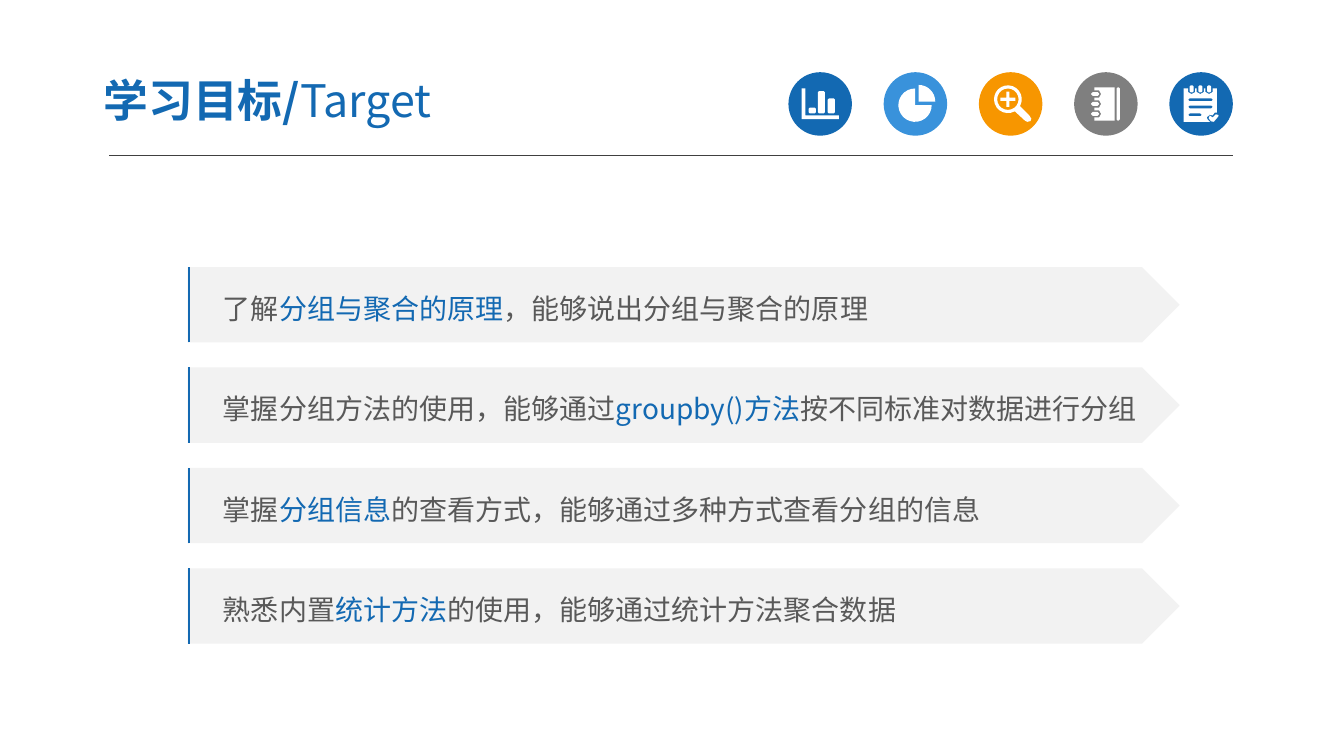
from dataclasses import dataclass
from math import cos, radians, sin

from lxml.etree import SubElement
from pptx import Presentation
from pptx.dml.color import RGBColor
from pptx.enum.shapes import MSO_CONNECTOR, MSO_SHAPE
from pptx.enum.text import MSO_ANCHOR, PP_ALIGN
from pptx.oxml.ns import qn
from pptx.util import Cm, Pt


@dataclass(frozen=True)
class Theme:
    font: str = "Noto Sans CJK SC"
    blue: str = "1369B2"
    light_blue: str = "3992DB"
    orange: str = "F79600"
    grey: str = "7F7F7F"
    white: str = "FFFFFF"
    rule: str = "404040"
    panel: str = "F2F2F2"
    text: str = "595959"
    title_size: int = 32
    body_size: int = 20


ICON_SIZE, ICON_PITCH = 1.6, 2.4
ICON_LEFT, ICON_TOP = 19.87, 1.82
ROW_LEFT, ROW_TOP, ROW_WIDTH, ROW_HEIGHT, ROW_PITCH = 4.73, 6.73, 25, 1.9, 2.53

GOALS = [
    ("了解", "分组与聚合的原理", "，能够说出分组与聚合的原理"),
    ("掌握分组方法的使用，能够通过", "groupby()方法", "按不同标准对数据进行分组"),
    ("掌握", "分组信息", "的查看方式，能够通过多种方式查看分组的信息"),
    ("熟悉内置", "统计方法", "的使用，能够通过统计方法聚合数据"),
]


class Deck:
    def __init__(self, theme):
        self.theme = theme
        self.prs = Presentation()
        self.prs.slide_width, self.prs.slide_height = Cm(33.87), Cm(19.05)
        self.s = self.prs.slides.add_slide(self.prs.slide_layouts[5])

    def run(self, p, text, size, color, bold=False):
        r = p.add_run()
        r.text = text
        r.font.size, r.font.bold = Pt(size), bold
        r.font.color.rgb = RGBColor.from_string(color)
        r.font.name = self.theme.font
        SubElement(r.font._element, qn("a:ea"), typeface=self.theme.font)

    def title(self, bold_text, plain_text):
        sp = self.s.shapes.title
        sp.left, sp.top, sp.width, sp.height = Cm(2.28), Cm(1.6), Cm(13.26), Cm(1.83)
        tf = sp.text_frame
        tf.word_wrap = True
        tf.vertical_anchor = MSO_ANCHOR.MIDDLE
        tf.margin_left = tf.margin_right = Cm(0.33)
        p = tf.paragraphs[0]
        p.alignment = PP_ALIGN.LEFT
        p.space_before = Pt(0)
        self.run(p, bold_text, self.theme.title_size, self.theme.blue, True)
        self.run(p, plain_text, self.theme.title_size, self.theme.blue)

    def paint(self, sp, color):
        sp.shadow.inherit = False
        sp.fill.solid()
        sp.fill.fore_color.rgb = RGBColor.from_string(color)
        sp.line.fill.background()

    def shape(self, kind, color, x, y, w, h):
        sp = self.s.shapes.add_shape(kind, Cm(x), Cm(y), Cm(w), Cm(h))
        self.paint(sp, color)
        return sp

    def line(self, x1, y1, x2, y2, color, width):
        c = self.s.shapes.add_connector(
            MSO_CONNECTOR.STRAIGHT, Cm(x1), Cm(y1), Cm(x2), Cm(y2))
        c.line.color.rgb = RGBColor.from_string(color)
        c.line.width = Pt(width)
        SubElement(c._element.spPr, qn("a:effectLst"))

    def icon(self, index, color, contours):
        """Draw a disc and a white glyph, whose points are measured from the disc's centre."""
        x = ICON_LEFT + index * ICON_PITCH
        self.shape(MSO_SHAPE.OVAL, color, x, ICON_TOP, ICON_SIZE, ICON_SIZE)
        cx, cy = x + ICON_SIZE / 2, ICON_TOP + ICON_SIZE / 2
        builder = None
        for contour in contours:
            start, *rest = [(Cm(cx + dx), Cm(cy + dy)) for dx, dy in contour]
            if builder is None:
                builder = self.s.shapes.build_freeform(*start)
            else:
                builder.move_to(*start)
            builder.add_line_segments(rest, close=True)
        self.paint(builder.convert_to_shape(), self.theme.white)

    def goal(self, index, before, key, after):
        y = ROW_TOP + index * ROW_PITCH
        sp = self.shape(MSO_SHAPE.PENTAGON, self.theme.panel,
                        ROW_LEFT, y, ROW_WIDTH, ROW_HEIGHT)
        tf = sp.text_frame
        tf.word_wrap = True
        tf.vertical_anchor = MSO_ANCHOR.MIDDLE
        tf.margin_left, tf.margin_right = Cm(0.89), Cm(0)
        p = tf.paragraphs[0]
        p.alignment = PP_ALIGN.LEFT
        p.line_spacing = 1.2
        for text, color in ((before, self.theme.text), (key, self.theme.blue),
                            (after, self.theme.text)):
            self.run(p, text, self.theme.body_size, color)
        x = ROW_LEFT + 0.03
        self.line(x, y + ROW_HEIGHT, x, y, self.theme.blue, 1.5)


def box(x, y, w, h, cut=0.03):
    """Return a rectangle with its corners cut off."""
    r, b = x + w, y + h
    return [(x + cut, y), (r - cut, y), (r, y + cut), (r, b - cut),
            (r - cut, b), (x + cut, b), (x, b - cut), (x, y + cut)]


def arc(cx, cy, radius, start, end, steps=20):
    """Return points clockwise from start to end, in degrees from the right."""
    angles = [radians(start + (end - start) * i / steps) for i in range(steps + 1)]
    return [(cx + radius * cos(a), cy + radius * sin(a)) for a in angles]


def bar_chart():
    axes = [(-0.47, -0.39), (-0.37, -0.39), (-0.37, 0.29), (0.47, 0.29),
            (0.47, 0.38), (-0.47, 0.38)]
    bars = [(-0.29, 0.09), (-0.06, -0.32), (0.19, -0.14)]
    return [axes] + [box(x, top, 0.18, 0.24 - top) for x, top in bars]


def pie():
    return [
        [(0.08, -0.06)] + arc(0.08, -0.06, 0.42, 270, 360, 8),
        [(-0.01, 0.03)] + arc(-0.01, 0.03, 0.42, 0, 270),
    ]


def magnifier():
    cx, cy, arm, half = -0.07, -0.12, 0.19, 0.04
    handle = [(0.24, 0.06), (0.47, 0.29), (0.52, 0.37), (0.5, 0.43),
              (0.42, 0.45), (0.36, 0.42), (0.11, 0.19)]
    corners = [(half, arm), (half, half), (arm, half)]
    plus = []
    for sx, sy in ((1, 1), (1, -1), (-1, -1), (-1, 1)):
        ordered = corners if sx == sy else corners[::-1]
        plus += [(cx + sx * dx, cy + sy * dy) for dx, dy in ordered]
    return [arc(cx, cy, 0.35, 62, 388) + handle, arc(cx, cy, 0.27, 0, 360), plus]


def notebook():
    rings = (0.25, 0, -0.25)
    page = [(-0.29, -0.42), (0.22, -0.42), (0.22, 0.42), (-0.29, 0.42)]
    for y in rings:
        page += [(-0.29, y + 0.09), (-0.17, y + 0.09), (-0.12, y),
                 (-0.17, y - 0.09), (-0.29, y - 0.09)]
    cover = box(0.27, -0.42, 0.08, 0.84)
    return [page, cover] + [box(-0.37, y - 0.05, 0.2, 0.1, 0.04) for y in rings]


def notepad():
    pins = (-0.24, -0.02, 0.2)
    page = [(-0.44, -0.39)]
    for x in pins:
        page += [(x - 0.09, -0.39), (x - 0.09, -0.3), (x, -0.25),
                 (x + 0.09, -0.3), (x + 0.09, -0.39)]
    page += [(0.4, -0.39), (0.4, 0.22), (0.34, 0.22), (0.29, 0.29), (0.22, 0.27),
             (0.14, 0.34), (0.17, 0.4), (0.22, 0.45), (-0.44, 0.45)]
    check = [(0.43, 0.32), (0.32, 0.45), (0.25, 0.44), (0.19, 0.36),
             (0.22, 0.29), (0.29, 0.34), (0.37, 0.26), (0.44, 0.28)]
    lines = [(-0.14, 0.61), (0.04, 0.61), (0.24, 0.33)]
    return ([page, check]
            + [box(-0.32, y, width, 0.07) for y, width in lines]
            + [box(x - 0.05, -0.47, 0.1, 0.18) for x in pins])


def main():
    theme = Theme()
    deck = Deck(theme)
    deck.title("学习目标/", "Target")
    deck.line(2.75, 3.93, 31.08, 3.93, theme.rule, 0.75)
    icons = [
        (theme.blue, bar_chart()),
        (theme.light_blue, pie()),
        (theme.orange, magnifier()),
        (theme.grey, notebook()),
        (theme.blue, notepad()),
    ]
    for i, (color, contours) in enumerate(icons):
        deck.icon(i, color, contours)
    for i, goal in enumerate(GOALS):
        deck.goal(i, *goal)
    deck.prs.save("out.pptx")


if __name__ == "__main__":
    main()
